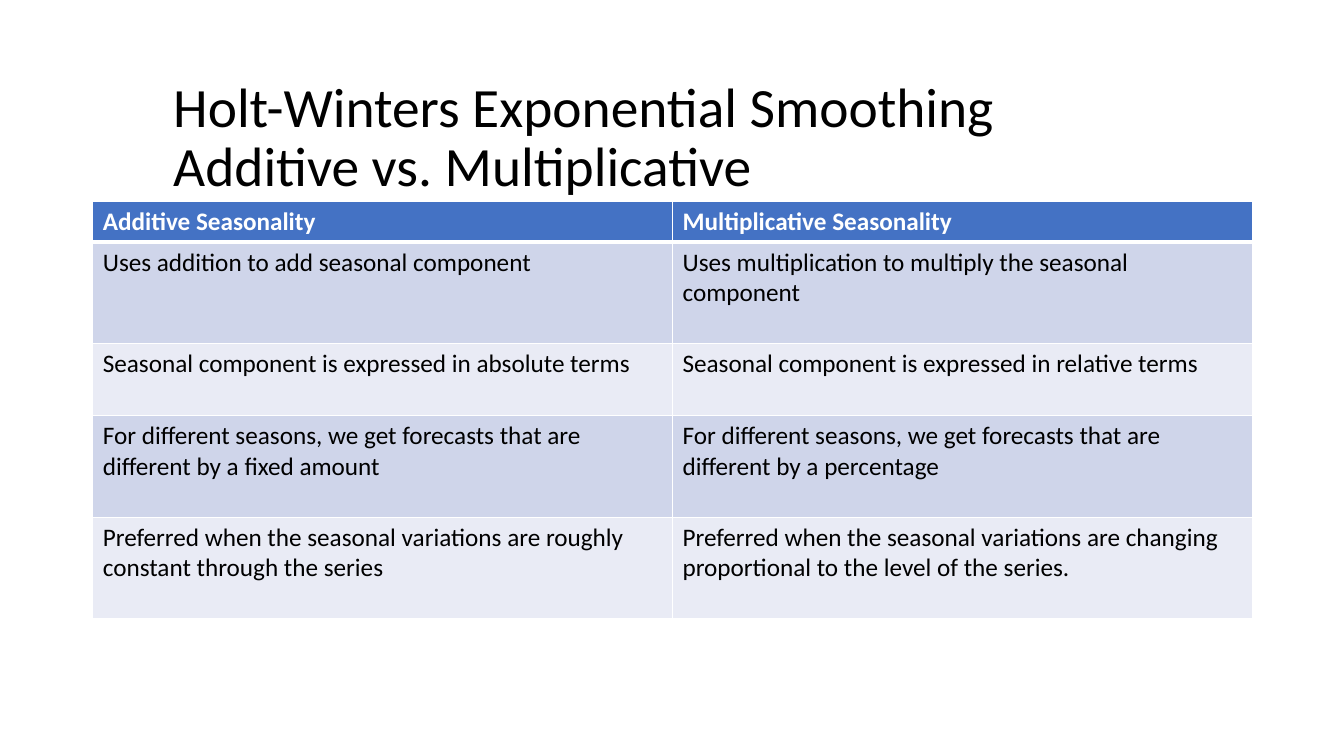
"""Build the slide comparing additive and multiplicative Holt-Winters smoothing."""
from lxml import etree
from pptx import Presentation
from pptx.dml.color import RGBColor
from pptx.enum.text import MSO_ANCHOR
from pptx.oxml.ns import qn
from pptx.util import Inches, Pt

MIDDLE = MSO_ANCHOR.MIDDLE
BLACK = RGBColor(0x00, 0x00, 0x00)
WHITE = RGBColor(0xFF, 0xFF, 0xFF)
HEADER_BLUE = RGBColor(0x44, 0x72, 0xC4)
BAND_DARK = RGBColor(0xCF, 0xD5, 0xEA)
BAND_LIGHT = RGBColor(0xE9, 0xEB, 0xF5)

TITLE = "Holt-Winters Exponential Smoothing\nAdditive vs. Multiplicative"
COMPARISON = [
    ("Additive Seasonality", "Multiplicative Seasonality"),
    ("Uses addition to add seasonal component",
     "Uses multiplication to multiply the seasonal component"),
    ("Seasonal component is expressed in absolute terms",
     "Seasonal component is expressed in relative terms"),
    ("For different seasons, we get forecasts that are different by a fixed amount",
     "For different seasons, we get forecasts that are different by a percentage"),
    ("Preferred when the seasonal variations are roughly constant through the series",
     "Preferred when the seasonal variations are changing proportional to the level of the series."),
]
ROW_HEIGHTS = [0.4, 1.01, 0.71, 1.01, 1.01]


class SlideBuilder:
    """Holds the text style and the current slide."""

    font_name = "Calibri"

    def __init__(self, slide):
        self.slide = slide

    def set_text(self, paragraph, text, size, color, bold=False):
        """Put text into a paragraph and format its runs."""
        paragraph.text = text
        font_values = {"name": self.font_name, "size": Pt(size), "bold": bold}
        for run in paragraph.runs:
            for attribute, value in font_values.items():
                setattr(run.font, attribute, value)
            run.font.color.rgb = color

    def title(self, text, left, top, width, height):
        """Add the slide title."""
        heading = self.slide.shapes.add_textbox(
            Inches(left), Inches(top), Inches(width), Inches(height))
        frame = heading.text_frame
        frame.word_wrap = True
        frame.vertical_anchor = MIDDLE
        frame.paragraphs[0].line_spacing = 0.9
        self.set_text(frame.paragraphs[0], text, 39.6, BLACK)

    def border(self, cell, side, points):
        """Draw one white cell border."""
        line = etree.SubElement(
            cell._tc.get_or_add_tcPr(), qn(f"a:ln{side}"), w=str(Pt(points)))
        fill = etree.SubElement(line, qn("a:solidFill"))
        etree.SubElement(fill, qn("a:srgbClr"), val=str(WHITE))

    def table(self, rows, heights, left, top, width):
        """Add a banded table with a header row and equal columns."""
        columns = len(rows[0])
        table = self.slide.shapes.add_table(
            len(rows), columns, Inches(left), Inches(top),
            Inches(width), Inches(sum(heights))).table
        for row_index, (texts, height) in enumerate(zip(rows, heights)):
            table.rows[row_index].height = Inches(height)
            is_header = row_index == 0
            band = BAND_DARK if row_index % 2 else BAND_LIGHT
            widths = {"L": 1, "R": 1, "T": 3 if row_index == 1 else 1,
                      "B": 3 if is_header else 1}
            for column_index, text in enumerate(texts):
                cell = table.cell(row_index, column_index)
                for side, points in widths.items():
                    self.border(cell, side, points)
                cell.fill.solid()
                cell.fill.fore_color.rgb = HEADER_BLUE if is_header else band
                self.set_text(cell.text_frame.paragraphs[0], text, 18,
                              WHITE if is_header else BLACK, is_header)


def main():
    """Create and save the presentation."""
    deck = Presentation()
    deck.slide_width = Inches(13.33)
    deck.slide_height = Inches(7.5)
    builder = SlideBuilder(deck.slides.add_slide(deck.slide_layouts[6]))
    builder.title(TITLE, 1.62, 0.75, 10.96, 1.26)
    builder.table(COMPARISON, ROW_HEIGHTS, 0.92, 2, 11.5)
    deck.save("out.pptx")


if __name__ == "__main__":
    main()
